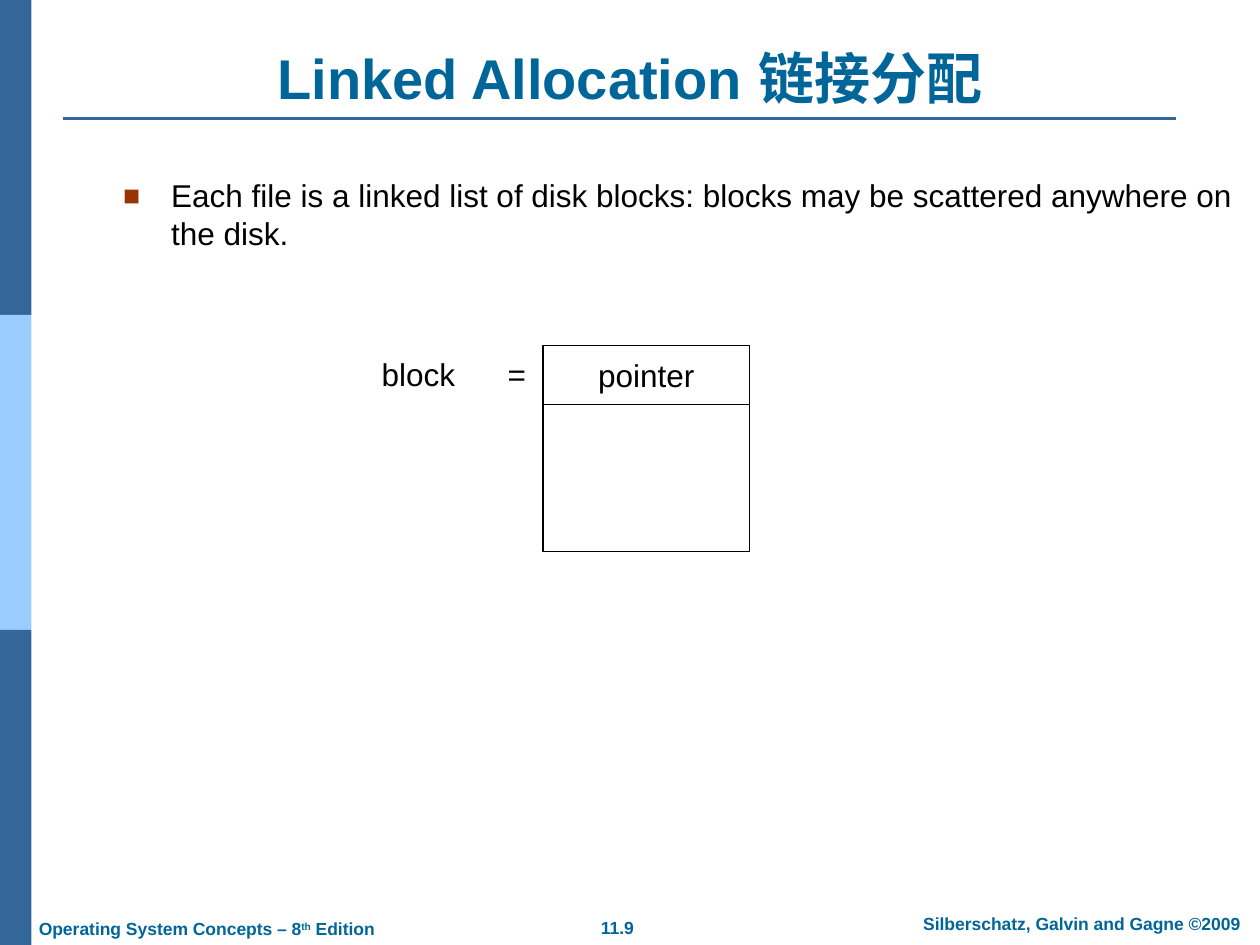
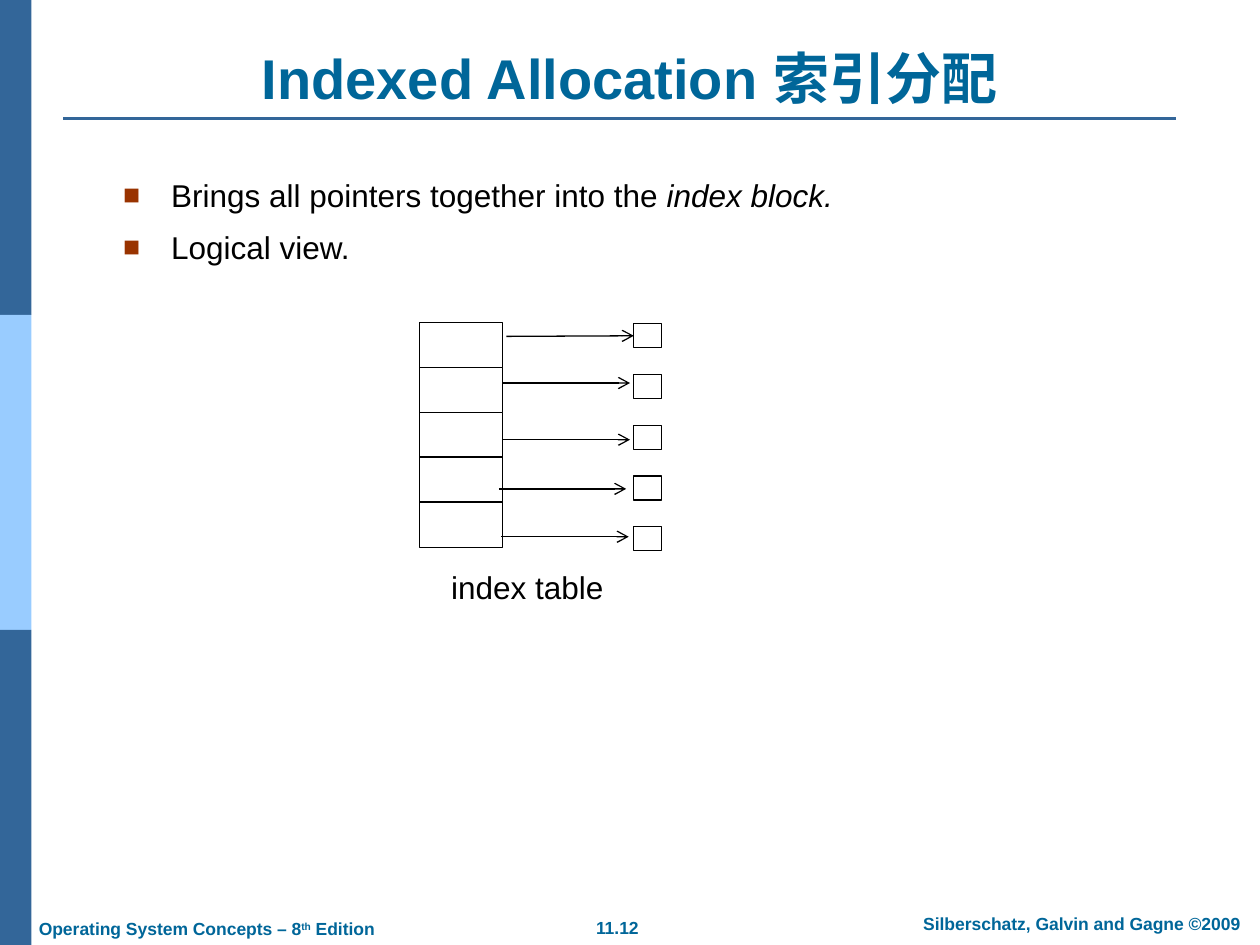
from lxml.etree import SubElement
from pptx import Presentation
from pptx.dml.color import RGBColor
from pptx.enum.shapes import MSO_CONNECTOR as Connector, MSO_SHAPE as Shape
from pptx.enum.text import MSO_ANCHOR as Anchor, PP_ALIGN as Align
from pptx.oxml.ns import qn
from pptx.util import Inches, Pt

# Shared look
FONT = "Arial"
BAND_DARK = RGBColor(0x33, 0x66, 0x99)
BAND_LIGHT = RGBColor(0x99, 0xCC, 0xFF)
HEADING = RGBColor(0x00, 0x66, 0x99)
BULLET = RGBColor(0x99, 0x33, 0x00)
BLACK = RGBColor(0, 0, 0)
WHITE = RGBColor(255, 255, 255)
BODY_SIZE = 18
THIN = 0.75


def add_run(para, text, size=BODY_SIZE, color=BLACK, bold=False, italic=False):
    span = para.add_run()
    span.text = text
    font = span.font
    font.name, font.size, font.color.rgb = FONT, Pt(size), color
    font.bold, font.italic = bold, italic
    return span


def add_box(page, left, top, width, height, anchor=Anchor.TOP, wrap=False):
    box = page.shapes.add_textbox(Inches(left), Inches(top), Inches(width), Inches(height))
    box.text_frame.word_wrap = wrap
    box.text_frame.vertical_anchor = anchor
    return box.text_frame


def add_label(page, place, text, align=Align.CENTER, anchor=Anchor.MIDDLE, wrap=False, **style):
    para = add_box(page, *place, anchor, wrap).paragraphs[0]
    para.alignment = align
    add_run(para, text, **style)
    return para


def add_rectangle(page, left, top, width, height, fill=WHITE, outline=BLACK):
    shape = page.shapes.add_shape(
        Shape.RECTANGLE, Inches(left), Inches(top), Inches(width), Inches(height))
    shape.shadow.inherit = False
    shape.fill.solid()
    shape.fill.fore_color.rgb = fill
    if outline is None:
        shape.line.fill.background()
    else:
        shape.line.color.rgb = outline
        shape.line.width = Pt(THIN)
    return shape


def add_line(page, start, end, color=BLACK, width=THIN, arrow=False):
    line = page.shapes.add_connector(
        Connector.STRAIGHT, *(Inches(value) for value in (*start, *end)))
    line.line.color.rgb = color
    line.line.width = Pt(width)
    if arrow:
        SubElement(line.line._get_or_add_ln(), qn("a:tailEnd"), type="arrow")
    SubElement(line._element.spPr, qn("a:effectLst"))
    return line


def add_bullets(page, height, items):
    """Each item is a list of (text, italic) runs."""
    frame = add_box(page, 0.88, 1.35, 9, height, wrap=True)
    for index, runs in enumerate(items):
        para = frame.paragraphs[0] if index == 0 else frame.add_paragraph()
        props = para._p.get_or_add_pPr()
        props.set("marL", str(Inches(0.38)))
        props.set("indent", str(-Inches(0.38)))
        color = SubElement(props, qn("a:buClr"))
        SubElement(color, qn("a:srgbClr"), val=str(BULLET))
        SubElement(props, qn("a:buSzPct"), val="90000")
        SubElement(props, qn("a:buFont"), typeface=FONT)
        SubElement(props, qn("a:buChar"), char="■")
        if index:
            para.space_before = Pt(7.9)
        for text, italic in runs:
            add_run(para, text, italic=italic)


def add_page(deck, title, number):
    """Start a page with the side bands, title, rule and footers."""
    page = deck.slides.add_slide(deck.slide_layouts[6])
    for index, color in enumerate((BAND_DARK, BAND_LIGHT, BAND_DARK)):
        add_rectangle(page, 0, 2.5 * index, 0.25, 2.5, color, None)
    add_line(page, (0.5, 0.94), (9.33, 0.94), BAND_DARK, 1.5)
    add_label(page, (0.5, 0.3, 9, 0.63), title, anchor=Anchor.BOTTOM, wrap=True,
              size=32, color=HEADING, bold=True)

    # Footers
    small = dict(size=10, color=HEADING, bold=True)
    add_label(page, (4.37, 7.23, 1.06, 0.27), number, anchor=Anchor.TOP, **small)
    add_label(page, (7.1, 7.2, 2.97, 0.27), "Silberschatz, Galvin and Gagne ©2009",
              anchor=Anchor.TOP, wrap=True, **small)
    para = add_label(page, (0.21, 7.24, 3.1, 0.27), "Operating System Concepts – 8",
                     Align.LEFT, Anchor.TOP, wrap=True, **small)
    ordinal = add_run(para, "th", **small)
    ordinal.font._element.set("baseline", "30000")
    add_run(para, " Edition", **small)
    return page


def build_linked(deck):
    page = add_page(deck, "Linked Allocation 链接分配", "11.9")
    add_bullets(page, 0.82, [[("Each file is a linked list of disk blocks: blocks may be "
                               "scattered anywhere on the disk.", False)]])

    # Block made of a pointer and its data
    pointer = add_rectangle(page, 4.31, 2.74, 1.64, 0.47)
    pointer.text_frame.word_wrap = False
    pointer.text_frame.vertical_anchor = Anchor.MIDDLE
    para = pointer.text_frame.paragraphs[0]
    para.alignment = Align.CENTER
    add_run(para, "pointer")
    add_rectangle(page, 4.31, 3.21, 1.64, 1.17)

    para = add_label(page, (2.93, 2.77, 1.4, 0.4), "block\t=", Align.LEFT, wrap=True)
    tabs = SubElement(para._p.get_or_add_pPr(), qn("a:tabLst"))
    SubElement(tabs, qn("a:tab"), pos=str(Inches(1)), algn="l")


def build_indexed(deck):
    page = add_page(deck, "Indexed Allocation 索引分配", "11.12")
    add_bullets(page, 1.03, [
        [("Brings all pointers together into the ", False), ("index block.", True)],
        [("Logical view.", False)],
    ])

    # Index table, disk blocks and the pointers between them
    arrow_starts = [(4.02, 2.67), (3.99, 3.04), (3.99, 3.49), (3.96, 3.88), (3.98, 4.26)]
    table_height, blocks_span = 1.78, 1.61
    rows = len(arrow_starts)
    for row in range(rows):
        add_rectangle(page, 3.33, 2.56 + table_height * row / rows, 0.66, 0.36)
    disk_blocks = [add_rectangle(page, 5.03, 2.57 + blocks_span * row / (rows - 1), 0.22, 0.19)
                   for row in range(rows)]
    arrows = [add_line(page, (x, y), (x + 1.01, y), arrow=True) for x, y in arrow_starts]
    arrows[0].end_connect(disk_blocks[0], 1)
    add_label(page, (3.48, 4.46, 1.41, 0.4), "index table")


def main():
    deck = Presentation()
    deck.slide_width, deck.slide_height = Inches(10), Inches(7.5)
    build_linked(deck)
    build_indexed(deck)
    deck.save("out.pptx")


if __name__ == "__main__":
    main()
